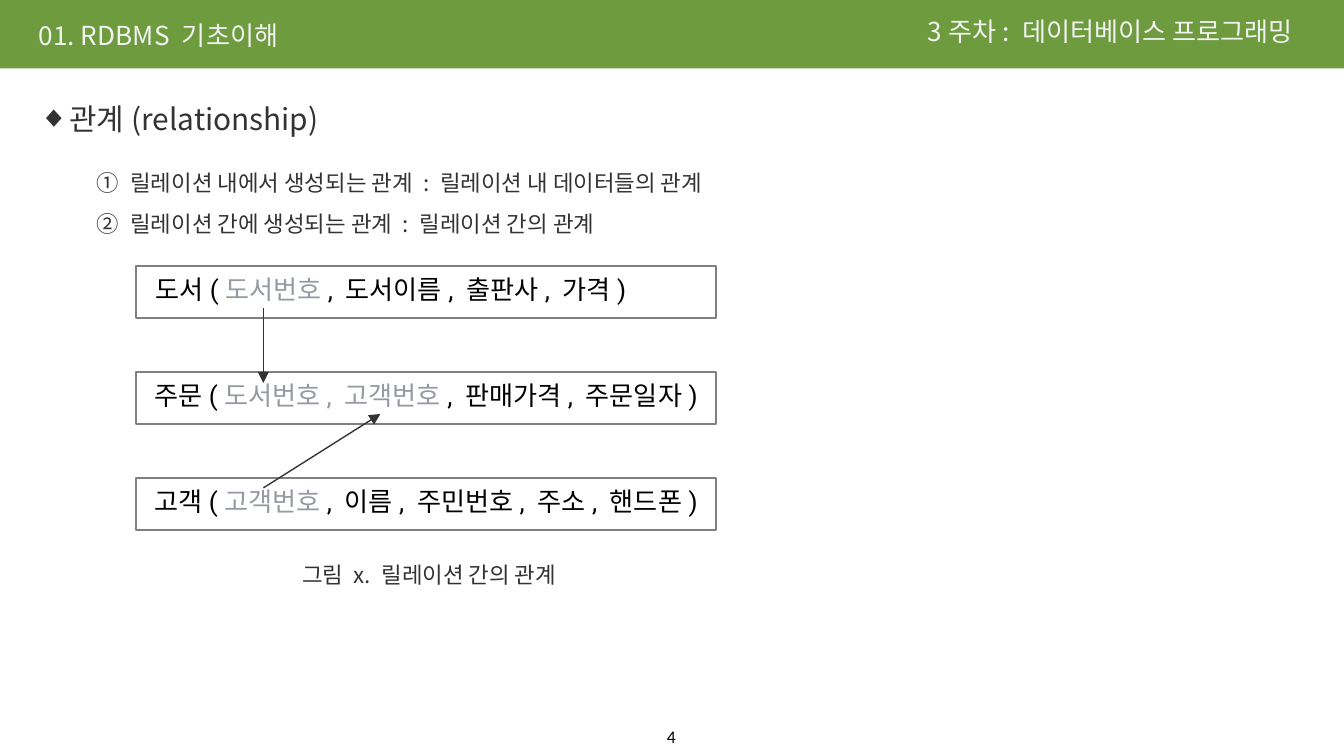
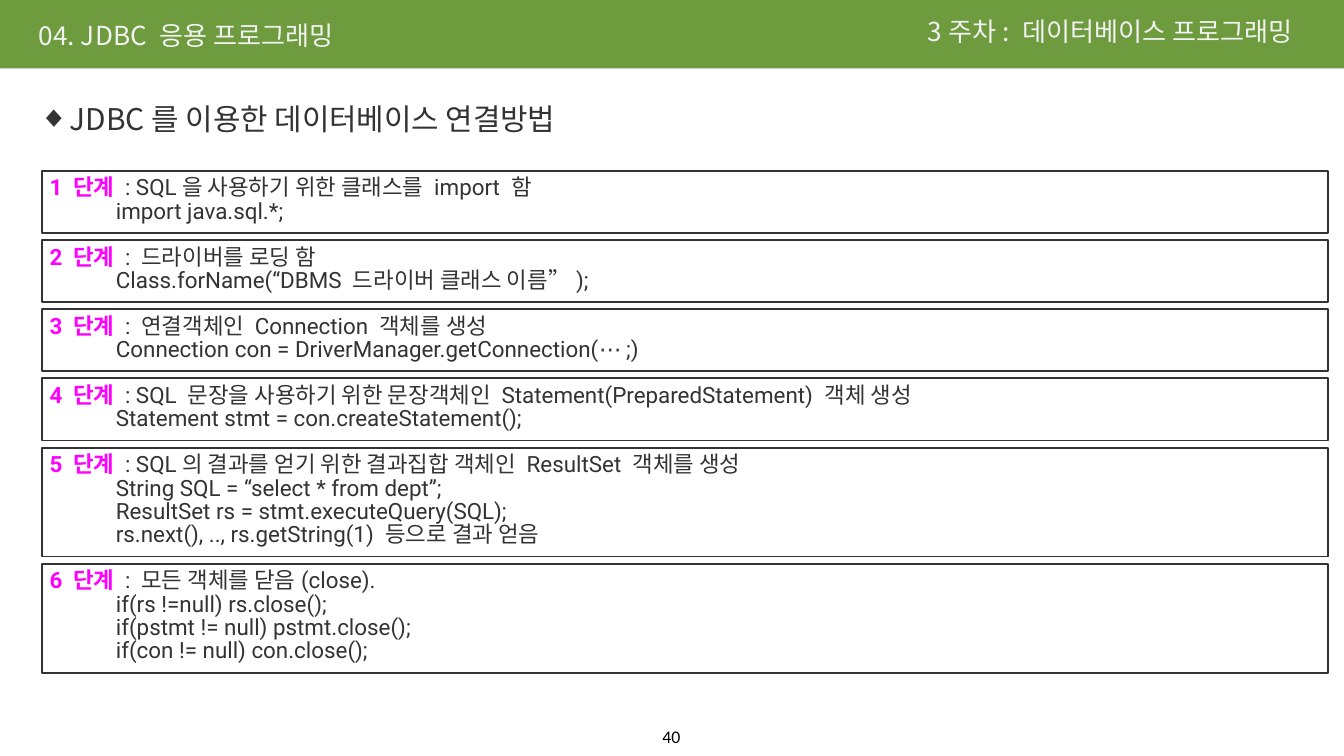
"""Build two lecture slides on relationships and JDBC steps."""
from lxml.etree import SubElement
from pptx import Presentation
from pptx.dml.color import RGBColor
from pptx.enum.shapes import MSO_CONNECTOR, MSO_SHAPE
from pptx.enum.text import MSO_ANCHOR as ANCHOR, MSO_AUTO_SIZE, PP_ALIGN as ALIGN
from pptx.oxml.ns import qn
from pptx.util import Pt

GREEN = RGBColor(0x6D, 0x9B, 0x3E)
PALE = RGBColor(0xF2, 0xF2, 0xF2)
DARK = RGBColor(0x33, 0x33, 0x33)
GRAY = RGBColor(0x80, 0x80, 0x80)
KEY_GRAY = RGBColor(0x95, 0x9A, 0xA2)
MAGENTA = RGBColor(0xFF, 0x00, 0xFF)
BLACK = RGBColor(0, 0, 0)
KOREAN, LATIN, NUMBER = "Noto Sans CJK KR", "Roboto", "Calibri"
SMALL_INSET = 4.32

RELATIONS = [
    (142.5, ALIGN.LEFT, 3.5, "도서(", "도서번호", ", 도서이름, 출판사, 가격)"),
    (199.2, ALIGN.CENTER, 0, "주문(", "도서번호, 고객번호", ", 판매가격, 주문일자)"),
    (255.9, ALIGN.CENTER, 0, "고객(", "고객번호", ", 이름, 주민번호, 주소, 핸드폰)"),
]
STEPS = [
    (": SQL을 사용하기 위한 클래스를 import 함", "import java.sql.*;"),
    (": 드라이버를 로딩 함", "Class.forName(“DBMS 드라이버 클래스 이름”);"),
    (": 연결객체인 Connection 객체를 생성",
     "Connection con = DriverManager.getConnection(⋯ ;)"),
    (": SQL 문장을 사용하기 위한 문장객체인 Statement(PreparedStatement) 객체 생성",
     "Statement stmt = con.createStatement();"),
    (": SQL의 결과를 얻기 위한 결과집합 객체인 ResultSet 객체를 생성",
     "String SQL = “select * from dept”;",
     "ResultSet rs = stmt.executeQuery(SQL);",
     "rs.next(), .., rs.getString(1) 등으로 결과 얻음"),
    (": 모든 객체를 닫음(close).",
     "if(rs !=null) rs.close();",
     "if(pstmt != null) pstmt.close();",
     "if(con != null) con.close();"),
]


def write(frame, text, size=12, color=DARK, font=KOREAN, align=ALIGN.LEFT,
          spacing=1.0, before=0, margin=0, hanging=0, bullet=None):
    """Add a paragraph; text is a string or a list of (text, color, bold)."""
    paragraph = frame.paragraphs[0]
    if paragraph.runs:
        paragraph = frame.add_paragraph()
    properties = paragraph._p.get_or_add_pPr()
    properties.set("marL", str(Pt(margin)))
    properties.set("indent", str(-Pt(hanging)))
    if bullet:
        tag, attribute, value = bullet
        SubElement(properties, qn(tag)).set(attribute, value)
    paragraph.alignment = align
    paragraph.line_spacing = spacing
    paragraph.space_before = Pt(before)
    parts = [(text, color, False)] if isinstance(text, str) else text
    for part, part_color, bold in parts:
        run = paragraph.add_run()
        run.text = part
        run.font.size = Pt(size)
        run.font.name = font
        run.font.bold = bold
        run.font.color.rgb = part_color
        east_asian = SubElement(run._r.get_or_add_rPr(), qn("a:ea"))
        east_asian.set("typeface", KOREAN)


def prepare(shape, left, top, width, height, anchor=ANCHOR.TOP,
            inset=SMALL_INSET, wrap=True):
    """Place a shape, set up its text frame and return the frame."""
    shape.left, shape.top = Pt(left), Pt(top)
    shape.width, shape.height = Pt(width), Pt(height)
    frame = shape.text_frame
    frame.word_wrap = wrap
    frame.auto_size = MSO_AUTO_SIZE.NONE
    frame.vertical_anchor = anchor
    if inset is not None:
        frame.margin_left = frame.margin_right = Pt(inset)
        frame.margin_top = frame.margin_bottom = Pt(inset)
    return frame


def add_textbox(slide, *place, **layout):
    """Add a text box and return its frame."""
    return prepare(slide.shapes.add_textbox(0, 0, 0, 0), *place, **layout)


def add_box(slide, *place, line, **layout):
    """Add an outlined rectangle and return its frame."""
    box = slide.shapes.add_shape(MSO_SHAPE.RECTANGLE, 0, 0, 0, 0)
    box.shadow.inherit = False
    box.fill.background()
    box.line.color.rgb = line
    box.line.width = Pt(1)
    return prepare(box, *place, **layout)


def add_arrow(slide, *ends):
    """Draw a thin line with a triangle at its end."""
    arrow = slide.shapes.add_connector(MSO_CONNECTOR.STRAIGHT, *map(Pt, ends))
    arrow.line.color.rgb = DARK
    arrow.line.width = Pt(0.75)
    SubElement(arrow.line._get_or_add_ln(), qn("a:tailEnd")).set("type", "triangle")
    SubElement(arrow._element.spPr, qn("a:effectLst"))


def add_master_band(presentation, slide):
    """Draw the green band and move it to the slide master."""
    band = slide.shapes.add_shape(MSO_SHAPE.RECTANGLE, 0, 0, Pt(720), Pt(36.7))
    band.shadow.inherit = False
    band.fill.solid()
    band.fill.fore_color.rgb = GREEN
    band.line.fill.background()
    band._element.nvSpPr.cNvPr.set("id", "20")
    presentation.slide_master.shapes._spTree.insert(2, band._element)


def add_slide(presentation, layout, title, heading, number):
    """Add a slide with its title, course name, heading and page number."""
    slide = presentation.slides.add_slide(presentation.slide_layouts[layout])
    frame = prepare(slide.shapes.title, 16.5, 9.4, 223, 22.3)
    write(frame, title, size=14, color=PALE, spacing=0.8)
    frame = add_textbox(slide, 492.5, 7.2, 223, 22.3, anchor=ANCHOR.MIDDLE)
    write(frame, "3주차: 데이터베이스 프로그래밍", size=14, color=PALE, spacing=0.8)
    frame = prepare(slide.placeholders[1], 16.5, 53.3, 404, 33.8)
    write(frame, heading, size=16, spacing=0.8, margin=16.5, hanging=16.5,
          bullet=("a:buChar", "char", "◆"))
    frame = add_textbox(slide, 350, 384.5, 19.4, 19.4, wrap=False)
    write(frame, number, size=9.5, color=BLACK, font=NUMBER, align=ALIGN.CENTER)
    return slide


def fill_relationships(slide):
    """Add the numbered list and the diagram of relations."""
    frame = prepare(slide.placeholders[2], 44.6, 87.1, 391, 44, inset=None)
    items = [("릴레이션 내에서 생성되는 관계 : 릴레이션 내 데이터들의 관계", 1.0),
             ("릴레이션 간에 생성되는 관계 : 릴레이션 간의 관계", 1.5)]
    for item, spacing in items:
        write(frame, item, align=ALIGN.JUSTIFY, spacing=spacing, margin=18,
              hanging=18, bullet=("a:buAutoNum", "type", "circleNumDbPlain"))
    for top, align, margin, name, keys, fields in RELATIONS:
        frame = add_box(slide, 72.7, top, 311, 28.1, line=GRAY,
                        anchor=ANCHOR.MIDDLE, inset=None)
        parts = [(name, BLACK, False), (keys, KEY_GRAY, False), (fields, BLACK, False)]
        write(frame, parts, size=14, font=LATIN, align=align, spacing=0.8,
              margin=margin)
    add_arrow(slide, 141.1, 164.9, 141.1, 205.2)
    add_arrow(slide, 141.1, 261.4, 203.8, 221.8)
    frame = add_textbox(slide, 157.7, 291.6, 162.7, 32.4, anchor=ANCHOR.MIDDLE)
    write(frame, "그림 x. 릴레이션 간의 관계")


def fill_steps(slide):
    """Stack one box for each JDBC step."""
    top = 91.4
    for number, (summary, *code) in enumerate(STEPS, 1):
        height = 20.75 + 12.55 * len(code)
        frame = add_box(slide, 22.3, top, 689, height, line=DARK)
        write(frame, [(f"{number} 단계 ", MAGENTA, True), (summary, DARK, False)],
              font=LATIN, align=ALIGN.JUSTIFY, spacing=0.8)
        for line in code:
            write(frame, line, font=LATIN, align=ALIGN.JUSTIFY, spacing=0.8,
                  before=1, margin=35.5)
        top += height + 3.8


def main():
    """Build and save the presentation."""
    presentation = Presentation()
    presentation.slide_width, presentation.slide_height = Pt(720), Pt(405)
    relationships = add_slide(presentation, 3, "01. RDBMS 기초이해",
                              "관계(relationship)", "4")
    add_master_band(presentation, relationships)
    fill_relationships(relationships)
    steps = add_slide(presentation, 1, "04. JDBC 응용 프로그래밍",
                      "JDBC를 이용한 데이터베이스 연결방법", "40")
    fill_steps(steps)
    presentation.save("out.pptx")


if __name__ == "__main__":
    main()
